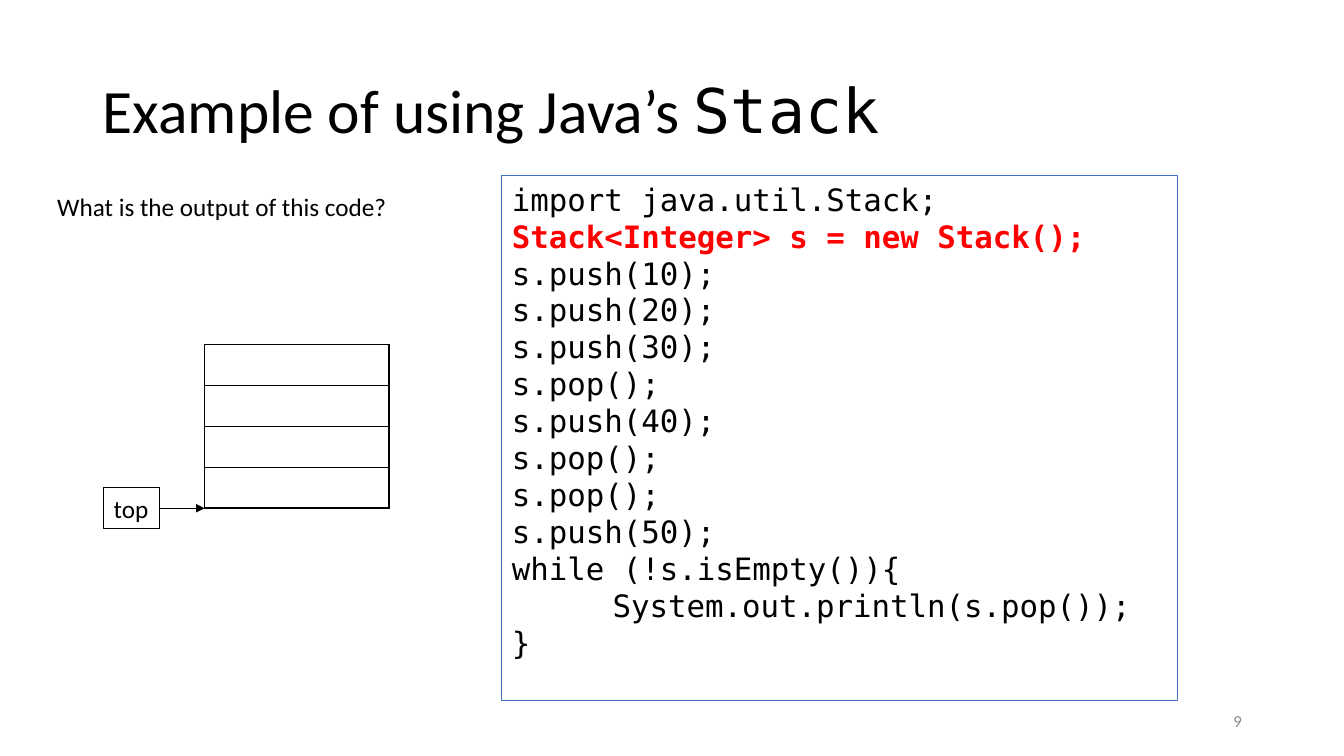
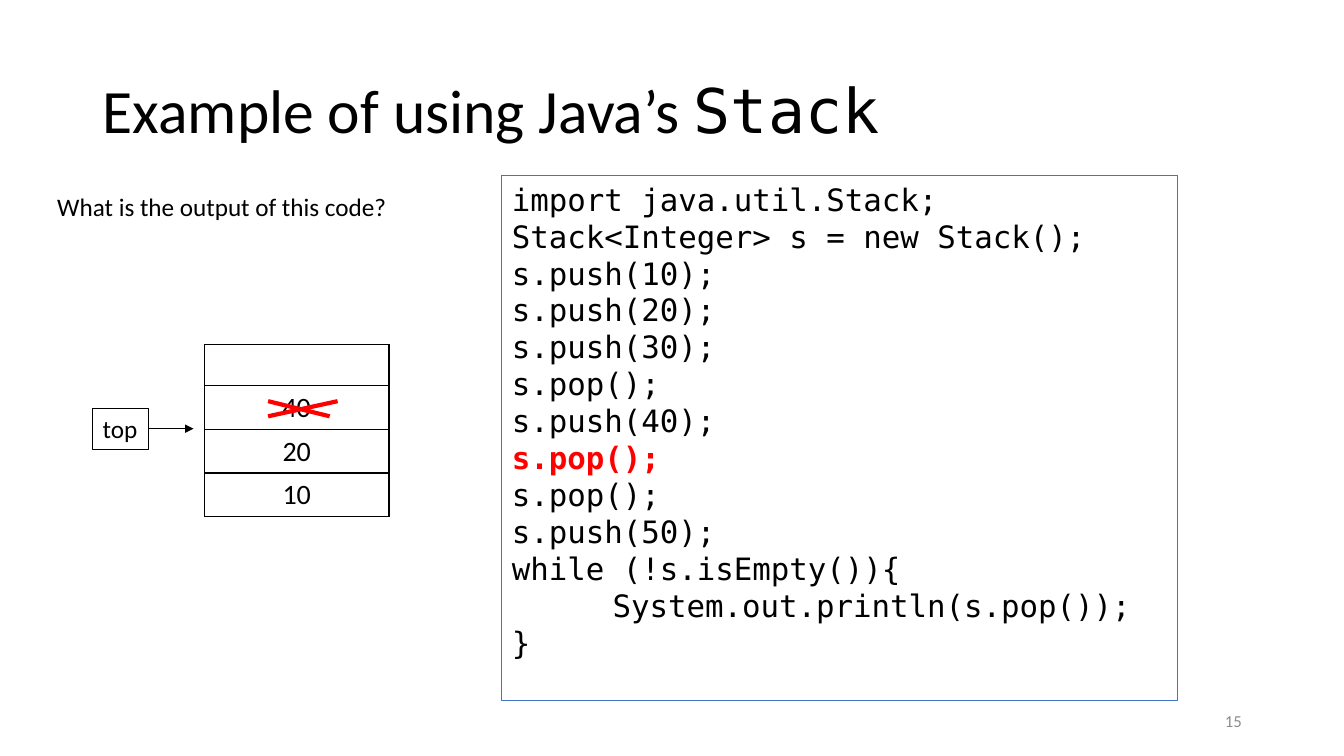
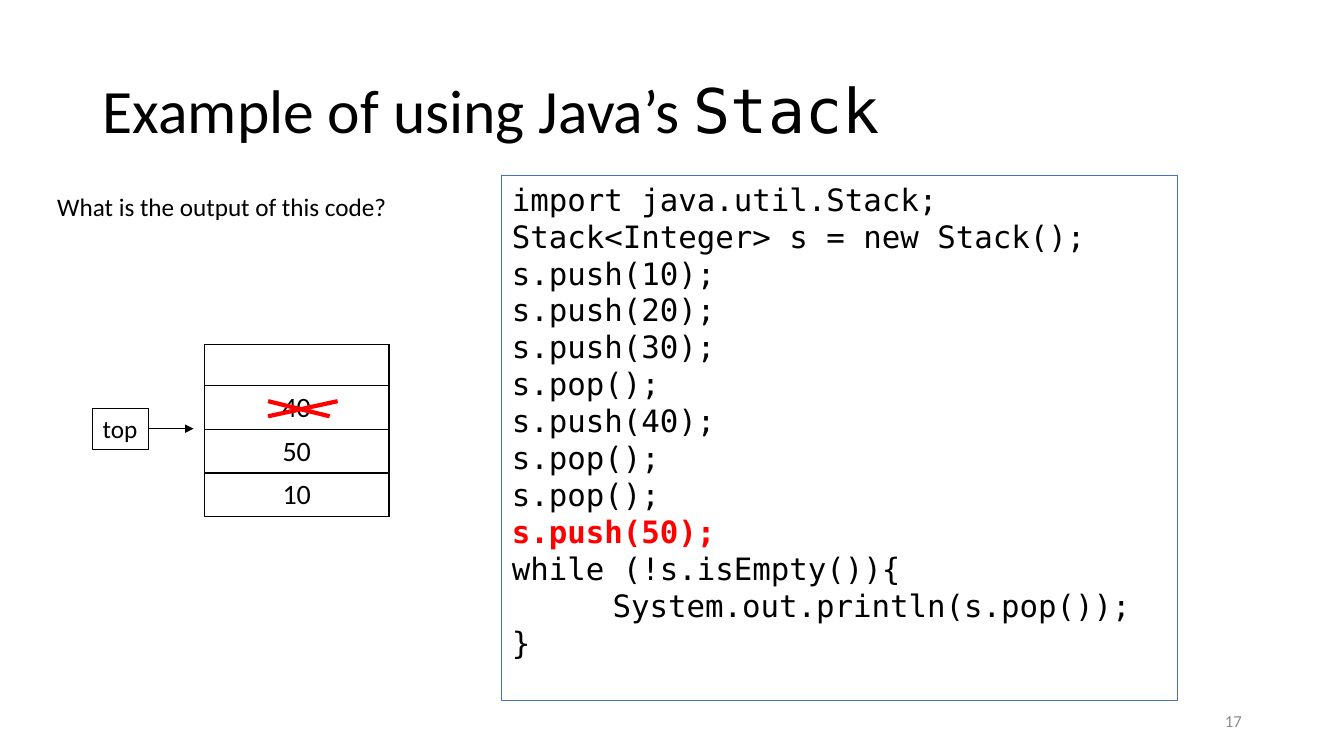
"""Build three slides that trace a Java Stack program line by line."""
from dataclasses import dataclass

from lxml.etree import SubElement
from pptx import Presentation
from pptx.dml.color import RGBColor as RGB
from pptx.enum.shapes import MSO_CONNECTOR as LINE, MSO_SHAPE as SHAPE
from pptx.enum.text import MSO_ANCHOR as ANCHOR, PP_ALIGN as ALIGN
from pptx.oxml.ns import qn
from pptx.util import Inches, Pt


@dataclass(frozen=True)
class Theme:
    black: RGB = RGB(0, 0, 0)
    red: RGB = RGB(255, 0, 0)
    blue: RGB = RGB(0x44, 0x72, 0xC4)
    grey: RGB = RGB(0x8C, 0x8C, 0x8C)
    sans: str = "Calibri"
    mono: str = "DejaVu Sans Mono"
    title: int = 44
    code: int = 22
    cell: int = 20
    body: int = 18
    footer: int = 12


T = Theme()
prs = Presentation()
prs.slide_width, prs.slide_height = Inches(13.333), Inches(7.5)
COL, ROW = prs.slide_width / 100, prs.slide_height / 100

CODE = [
    "import java.util.Stack;", "Stack<Integer> s = new Stack();",
    "s.push(10);", "s.push(20);", "s.push(30);", "s.pop();", "s.push(40);",
    "s.pop();", "s.pop();", "s.push(50);", "while (!s.isEmpty()){",
    "System.out.println(s.pop());", "}",
]
INDENTED = 11
STEPS = [
    dict(number="9", active=1, cells=["", "", "", ""], row=5.4, top=(7.72, 64.53), popped=False),
    dict(number="15", active=7, cells=["", "40", "20", "10"], row=5.73, top=(6.9, 54), popped=True),
    dict(number="17", active=9, cells=["", "40", "50", "10"], row=5.73, top=(6.9, 54), popped=True),
]
FRAMES = {
    "title": (6.9, 5.33, 86.25, 19.33),
    "code": (37.35, 23.2, 50.25, 69.47),
    "number": (70.65, 92.67, 22.5, 5.33),
    "question": (3.52, 24.67, 28.28, 13.47),
}
FIRST_ROW, TABLE_X, TABLE_Y, TABLE_W = 5.4, 15.22, 45.6, 13.73
TOP_W, TOP_H, ARROW_W = 4.12, 5.4, 3.38
CROSS = [(19.95, 53.07, 24.53, 55.07), (25.12, 53.07, 19.95, 55.07)]


def write(tf, lines, frame=None, para=None):
    """Fill a text frame with lines of (text, size, font, colour, bold) runs."""
    for key, value in (frame or {}).items():
        setattr(tf, key, value)
    for i, runs in enumerate(lines):
        p = tf.paragraphs[0] if i == 0 else tf.add_paragraph()
        for key, value in ({"alignment": ALIGN.LEFT} | (para or {})).items():
            setattr(p, key, value)
        for text, size, name, color, bold in runs:
            r = p.add_run()
            r.text = text
            r.font.color.rgb = color
            for key, value in dict(size=Pt(size), name=name, bold=bold).items():
                setattr(r.font, key, value)


def draw_line(s, ends, color, width, arrow=False):
    """Draw a straight line between two points given in percent of the slide."""
    x1, y1, x2, y2 = ends
    cx = s.shapes.add_connector(LINE.STRAIGHT, int(x1 * COL), int(y1 * ROW), int(x2 * COL), int(y2 * ROW))
    cx.line.color.rgb, cx.line.width = color, Pt(width)
    spPr = cx._element.spPr
    if arrow:
        SubElement(spPr.find(qn("a:ln")), qn("a:tailEnd"), type="triangle")
    SubElement(spPr, qn("a:effectLst"))
    return cx


for step in STEPS:
    s = prs.slides.add_slide(prs.slide_layouts[6])
    top_x, top_y = step["top"]
    frames = FRAMES | {"top": (top_x, top_y, TOP_W, TOP_H)}
    boxes = {}
    for name, (x, y, w, h) in frames.items():
        at = int(x * COL), int(y * ROW), int(w * COL), int(h * ROW)
        if name in ("code", "top"):
            sp = s.shapes.add_shape(SHAPE.RECTANGLE, *at)
            sp.shadow.inherit = False
            sp.fill.background()
            sp.line.color.rgb = T.blue if name == "code" else T.black
            sp.line.width = Pt(0.75)
        else:
            sp = s.shapes.add_textbox(*at)
        boxes[name] = sp

    middle = dict(word_wrap=True, vertical_anchor=ANCHOR.MIDDLE)
    upper = dict(word_wrap=True, vertical_anchor=ANCHOR.TOP)
    write(boxes["title"].text_frame,
          [[("Example of using Java’s ", T.title, T.sans, T.black, False),
            ("Stack", T.title, T.mono, T.black, False)]],
          middle, dict(line_spacing=0.9))
    code = boxes["code"].text_frame
    write(code,
          [[(text, T.code, T.mono, T.red if i == step["active"] else T.black, i == step["active"])]
           for i, text in enumerate(CODE)],
          upper, dict(line_spacing=Pt(26.4)))
    code.paragraphs[INDENTED]._p.get_or_add_pPr().set("marL", str(Inches(1)))
    write(boxes["number"].text_frame, [[(step["number"], T.footer, T.sans, T.grey, False)]],
          middle, dict(alignment=ALIGN.RIGHT))
    write(boxes["question"].text_frame,
          [[("What is the output of this code?", T.body, T.sans, T.black, False)]], upper)
    write(boxes["top"].text_frame, [[("top", T.body, T.sans, T.black, False)]],
          dict(word_wrap=False, vertical_anchor=ANCHOR.TOP))

    heights = [FIRST_ROW] + [step["row"]] * 3
    table = s.shapes.add_table(len(heights), 1, int(TABLE_X * COL), int(TABLE_Y * ROW),
                               int(TABLE_W * COL), int(sum(heights) * ROW)).table
    table.first_row = table.horz_banding = False
    for i, (text, height) in enumerate(zip(step["cells"], heights)):
        table.rows[i].height = int(height * ROW)
        cell = table.cell(i, 0)
        cell.vertical_anchor = ANCHOR.MIDDLE
        if text:
            write(cell.text_frame, [[(text, T.cell, T.sans, T.black, False)]],
                  para=dict(alignment=ALIGN.CENTER))
        tcPr = cell._tc.get_or_add_tcPr()
        for side in ("a:lnL", "a:lnR", "a:lnT", "a:lnB"):
            ln = SubElement(tcPr, qn(side), w=str(Pt(1)))
            SubElement(SubElement(ln, qn("a:solidFill")), qn("a:srgbClr"), val=str(T.black))
        cell.fill.background()

    arrow_x, arrow_y = top_x + TOP_W, top_y + TOP_H / 2
    arrow = draw_line(s, (arrow_x, arrow_y, arrow_x + ARROW_W, arrow_y), T.black, 0.5, arrow=True)
    arrow.begin_connect(boxes["top"], 3)
    if step["popped"]:
        for ends in CROSS:
            draw_line(s, ends, T.red, 3)

prs.save("out.pptx")
